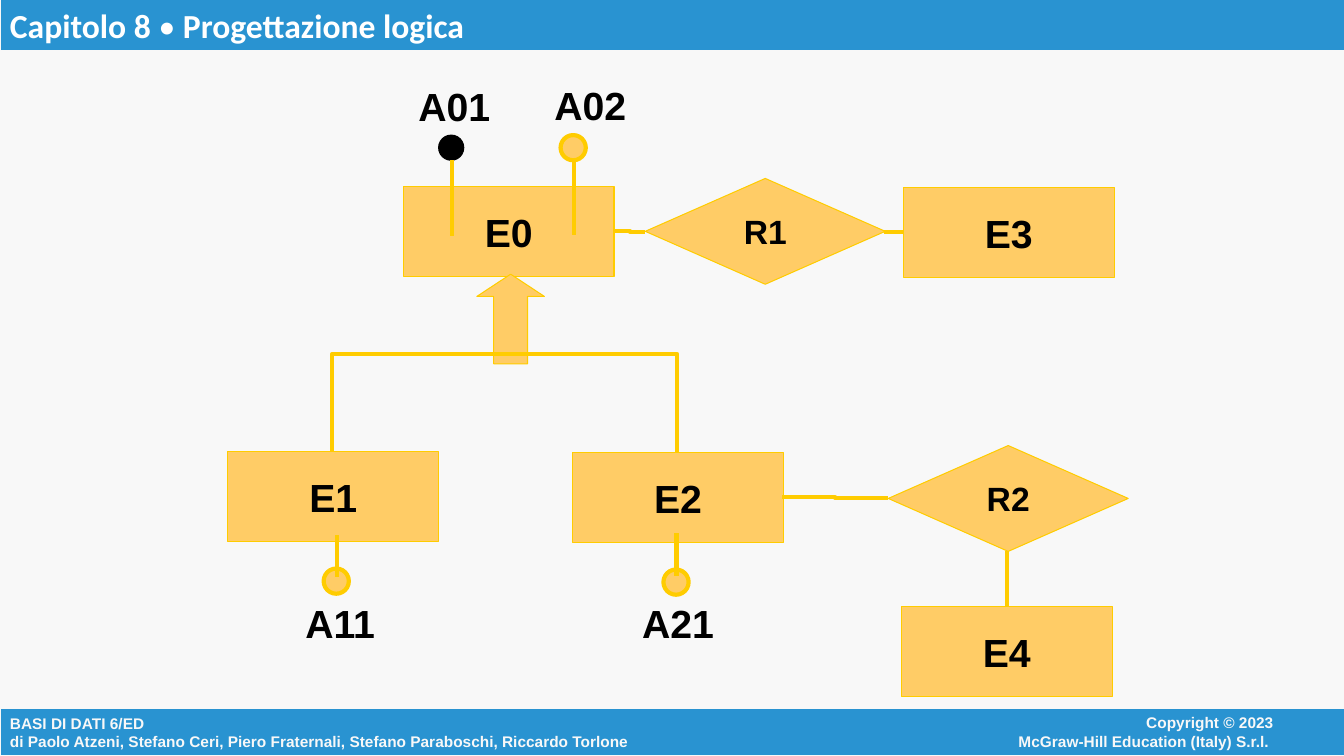
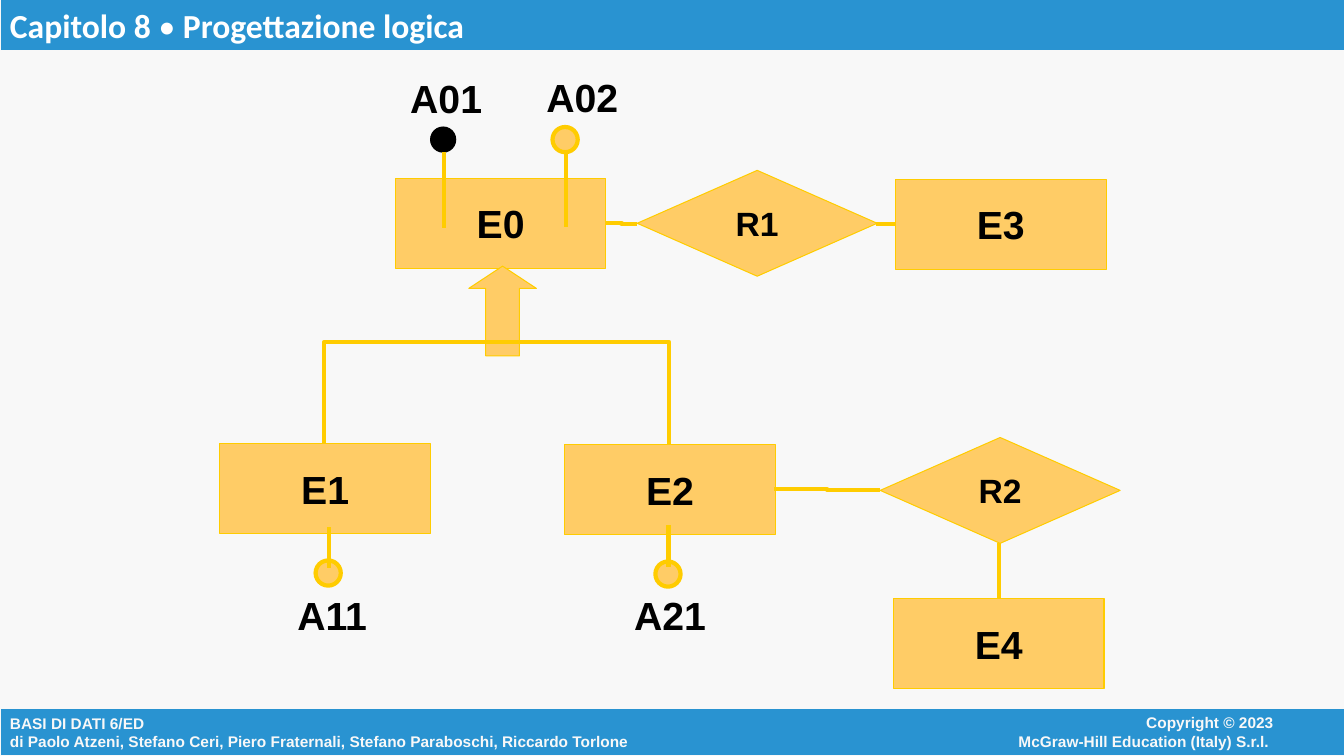
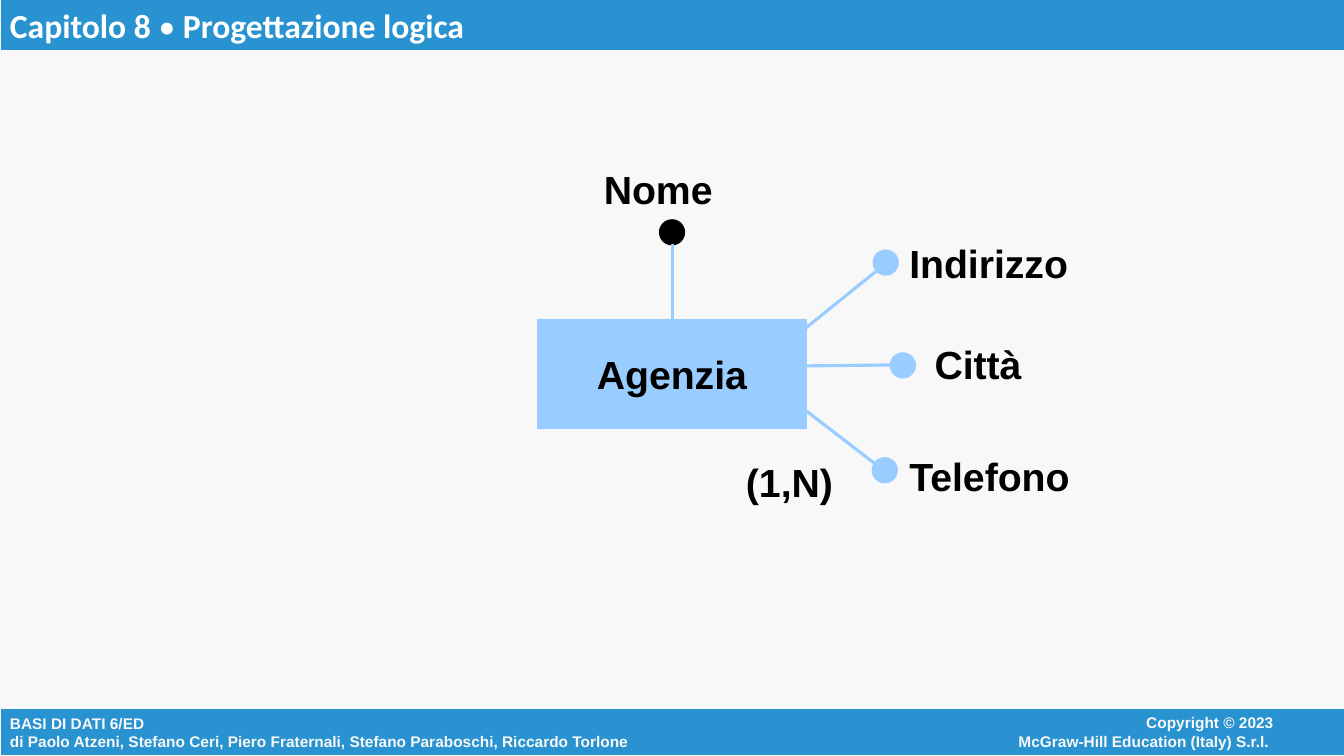
"""Build three entity-relationship slides on logical design."""
from dataclasses import dataclass
from typing import Sequence

from lxml.etree import SubElement
from pptx import Presentation
from pptx.dml.color import RGBColor
from pptx.enum.shapes import MSO_CONNECTOR as CONN, MSO_SHAPE as SHAPE
from pptx.enum.text import MSO_ANCHOR as ANCHOR, MSO_AUTO_SIZE as FIT, PP_ALIGN as ALIGN
from pptx.oxml.ns import qn
from pptx.util import Emu, Pt

PX = 9144
BAND, PAPER, WHITE, BLACK = "2993D1", "F8F8F8", "FFFFFF", "000000"
ORANGE, GOLD, SKY = "FFCC66", "FFCC00", "99CCFF"
DOT = 25


@dataclass
class Node:
    kind: SHAPE
    x: int
    y: int
    w: int
    h: int
    text: str = ""
    fill: str = ORANGE
    line: str = GOLD
    weight: float = 0.75
    size: int = 28


@dataclass
class Wire:
    x1: int
    y1: int
    x2: int
    y2: int
    kind: CONN = CONN.STRAIGHT
    color: str = GOLD
    weight: float = 3


@dataclass
class Label:
    x: int
    y: int
    w: int
    text: str


def px(n: float) -> Emu:
    return Emu(round(n * PX))


def rgb(code: str) -> RGBColor:
    return RGBColor.from_string(code)


def entity(x: int, y: int, text: str) -> Node:
    return Node(SHAPE.RECTANGLE, x, y, 209, 89, text)


def relation(x: int, y: int, text: str) -> Node:
    return Node(SHAPE.DIAMOND, x, y, 238, 105, text, size=24)


def dot(x: int, y: int, fill: str, line: str, weight: float = 0.75) -> Node:
    return Node(SHAPE.OVAL, x, y, DOT, DOT, "", fill, line, weight)


def add_run(p, text: str, size: int, color: str = BLACK, font: str = "Arial", bold: bool = True):
    r = p.add_run()
    r.text = text
    r.font.name, r.font.size, r.font.bold = font, Pt(size), bold
    r.font.color.rgb = rgb(color)


def add_node(s, n: Node, dx: int = 0, dy: int = 0):
    sp = s.shapes.add_shape(n.kind, px(n.x + dx), px(n.y + dy), px(n.w), px(n.h))
    sp.shadow.inherit = False
    sp.fill.solid()
    sp.fill.fore_color.rgb = rgb(n.fill)
    sp.line.color.rgb = rgb(n.line)
    sp.line.width = Pt(n.weight)
    if n.text:
        tf = sp.text_frame
        tf.word_wrap = False
        p = tf.paragraphs[0]
        p.alignment = ALIGN.CENTER
        add_run(p, n.text, n.size)
    return sp


def add_wire(s, w: Wire, dx: int = 0, dy: int = 0):
    c = s.shapes.add_connector(w.kind, px(w.x1 + dx), px(w.y1 + dy), px(w.x2 + dx), px(w.y2 + dy))
    c.line.color.rgb = rgb(w.color)
    c.line.width = Pt(w.weight)
    SubElement(c._element.spPr, qn("a:effectLst"))
    return c


def add_bracket(s, x1: int, x2: int, y: int, rise: int):
    mid, half = (x1 + x2) // 2, (x2 - x1) // 2
    c = add_wire(s, Wire(mid - 1, y - half, mid, y + half, CONN.ELBOW))
    xfrm = c._element.spPr.find(qn("a:xfrm"))
    xfrm.set("rot", "16200000")
    xfrm.set("flipH", "1")
    geom = c._element.spPr.find(qn("a:prstGeom"))
    av = geom.find(qn("a:avLst"))
    if av is None:
        av = SubElement(geom, qn("a:avLst"))
    SubElement(av, qn("a:gd"), name="adj1", fmla=f"val {-rise * 100000}")


def add_text_box(s, x: int, y: int, w: int, h: int, wrap: bool):
    tf = s.shapes.add_textbox(px(x), px(y), px(w), px(h)).text_frame
    tf.word_wrap = wrap
    tf.auto_size = FIT.SHAPE_TO_FIT_TEXT
    return tf


def add_diagram(s, nodes: Sequence[Node], wires: Sequence[Wire], labels: Sequence[Label], shift: int = 0):
    for n in nodes:
        add_node(s, n, shift, shift)
    for w in wires:
        add_wire(s, w, shift, shift)
    for t in labels:
        tf = add_text_box(s, t.x + shift, t.y + shift, t.w, 56, False)
        add_run(tf.paragraphs[0], t.text, 28)


def add_band(s, y: int, h: int, weight: float):
    return add_node(s, Node(SHAPE.RECTANGLE, 0, y, 1335, h, "", BAND, PAPER, weight)).text_frame


def new_slide(prs):
    s = prs.slides.add_slide(prs.slide_layouts[6])
    tf = add_band(s, 703, 47, 0.75)
    tf.word_wrap = False
    p = tf.paragraphs[0]
    p.alignment = ALIGN.LEFT
    add_run(p, "BASI DI DATI 6/ED", 11, PAPER)
    p.add_line_break()
    add_run(p, "di Paolo Atzeni, Stefano Ceri, Piero Fraternali, Stefano Paraboschi, Riccardo Torlone", 11, PAPER)

    tf = add_text_box(s, 889, 703, 384, 46, True)
    for i, text in enumerate(("Copyright © 2023", "McGraw-Hill Education (Italy) S.r.l. ")):
        p = tf.add_paragraph() if i else tf.paragraphs[0]
        p.alignment = ALIGN.RIGHT
        add_run(p, text, 11, PAPER)

    tf = add_band(s, 0, 50, 0)
    tf.vertical_anchor = ANCHOR.TOP
    tf.word_wrap = True
    p = tf.paragraphs[0]
    p.alignment = ALIGN.LEFT
    for text, bold in (("Capitolo 8 ", True), ("•", False), (" Progettazione logica", True)):
        add_run(p, text, 24, WHITE, "Calibri", bold)
    return s


def hierarchy_slide(prs, shift: int, rise: int):
    s = new_slide(prs)
    nodes = [
        entity(400, 185, "E0"), entity(896, 186, "E3"), entity(894, 602, "E4"),
        entity(568, 449, "E2"), entity(226, 448, "E1"),
        relation(640, 177, "R1"), relation(881, 442, "R2"),
        dot(435, 134, BLACK, BLACK),
        *(dot(x, y, ORANGE, GOLD, 3) for x, y in ((556, 134), (321, 564), (658, 565))),
    ]
    wires = [
        Wire(448, 159, 448, 234), Wire(569, 158, 569, 233),
        Wire(334, 531, 334, 572), Wire(671, 529, 671, 571),
        Wire(999, 547, 999, 602),
        Wire(609, 229, 640, 230, CONN.ELBOW), Wire(877, 230, 897, 230, CONN.ELBOW),
        Wire(776, 493, 881, 494, CONN.ELBOW),
    ]
    labels = [Label(405, 77, 91, "A01"), Label(540, 76, 91, "A02"),
              Label(293, 590, 91, "A11"), Label(627, 590, 91, "A21")]
    add_diagram(s, nodes, wires, labels, shift)
    arrow = add_node(s, Node(SHAPE.UP_ARROW, 473, 272, 67, 89), shift, shift)
    arrow.adjustments[0], arrow.adjustments[1] = 0.5, 0.33
    add_bracket(s, 330 + shift, 672 + shift, 448 + shift, rise)


def agency_slide(prs):
    s = new_slide(prs)
    nodes = [
        Node(SHAPE.RECTANGLE, 533, 317, 267, 108, "Agenzia", SKY, SKY),
        dot(654, 218, BLACK, BLACK),
        *(dot(x, y, SKY, SKY) for x, y in ((866, 248), (883, 350), (865, 454))),
    ]
    ends = ((796, 328, 874, 265), (891, 362, 800, 363), (795, 404, 869, 461), (667, 242, 667, 317))
    wires = [Wire(*e, color=SKY, weight=2.25) for e in ends]
    labels = [Label(892, 233, 180, "Indirizzo"), Label(917, 333, 108, "Città"),
              Label(892, 444, 182, "Telefono"), Label(589, 159, 130, "Nome"),
              Label(730, 450, 108, "(1,N)")]
    add_diagram(s, nodes, wires, labels)


def main():
    prs = Presentation()
    prs.slide_width, prs.slide_height = px(1333), px(750)
    bg = prs.slide_master.background.fill
    bg.solid()
    bg.fore_color.rgb = rgb(PAPER)
    hierarchy_slide(prs, 0, 98)
    hierarchy_slide(prs, -8, 102)
    agency_slide(prs)
    prs.save("out.pptx")


if __name__ == "__main__":
    main()
